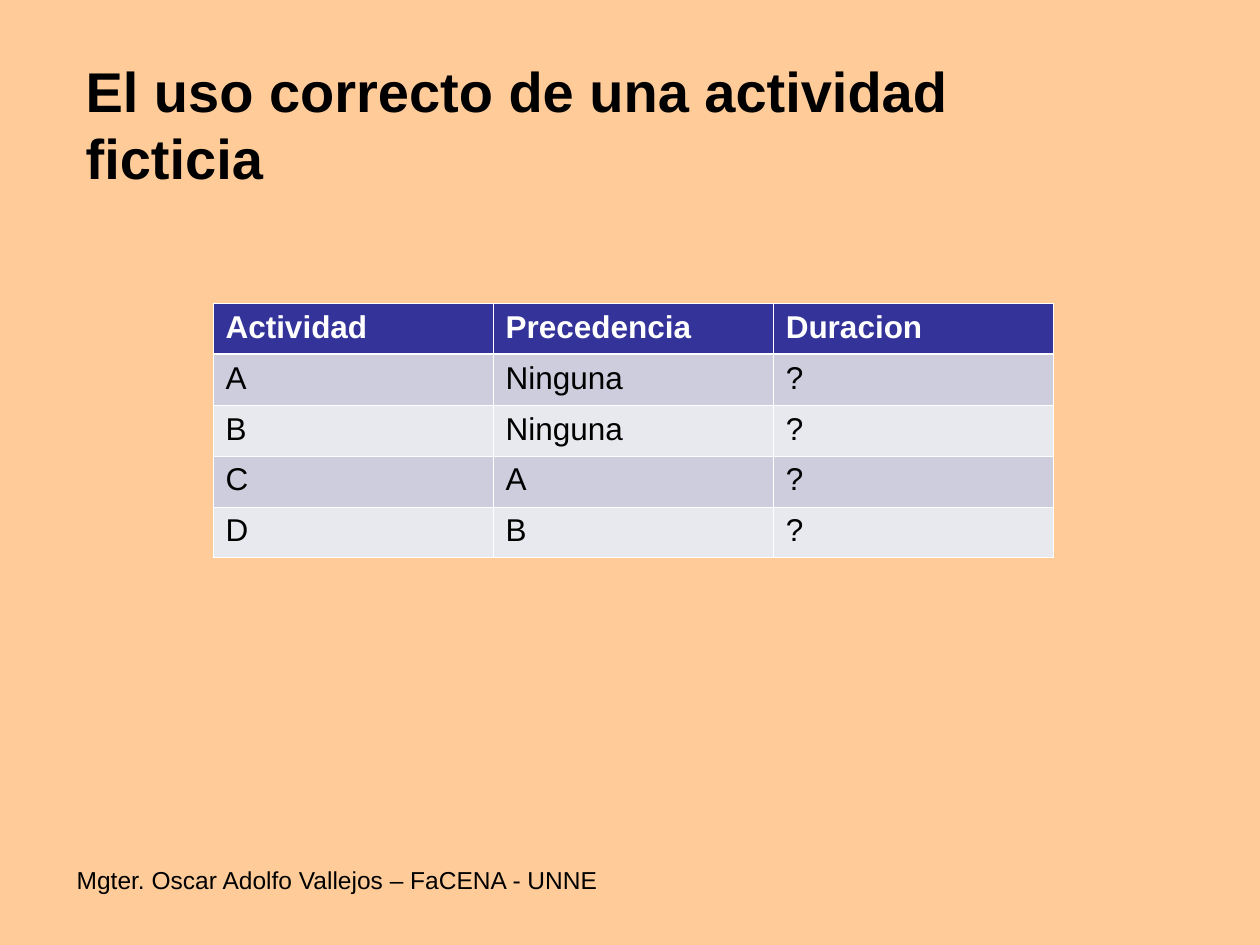
from dataclasses import dataclass

from lxml.etree import SubElement
from pptx import Presentation
from pptx.dml.color import RGBColor
from pptx.enum.text import MSO_ANCHOR, MSO_AUTO_SIZE as AutoSize, PP_ALIGN
from pptx.oxml.ns import qn
from pptx.util import Inches, Pt

SLIDE_W, SLIDE_H = Inches(10), Inches(7.5)


@dataclass(frozen=True)
class Theme:
    font: str = "Arial"
    background: str = "FFCC99"
    ink: str = "000000"
    light: str = "FFFFFF"
    header: str = "333399"
    bands: tuple = ("CDCDDE", "E8E8EF")
    title_size: int = 32
    table_size: int = 18
    credit_size: int = 14
    thin_rule: float = 0.45
    thick_rule: float = 1.47


THEME = Theme()

ACTIVITIES = [
    ("Actividad", "Precedencia", "Duracion"),
    ("A", "Ninguna", "?"),
    ("B", "Ninguna", "?"),
    ("C", "A", "?"),
    ("D", "B", "?"),
]


def share(left, top, width, height):
    """Turn percentages of the slide into a position and size."""
    return (round(SLIDE_W * left / 100), round(SLIDE_H * top / 100),
            round(SLIDE_W * width / 100), round(SLIDE_H * height / 100))


def write(frame, text, size, color, bold=False):
    frame.text = text
    frame.vertical_anchor = MSO_ANCHOR.TOP
    line = frame.paragraphs[0]
    line.alignment = PP_ALIGN.LEFT
    formats = {"name": THEME.font, "size": Pt(size), "bold": bold}
    for key, value in formats.items():
        setattr(line.font, key, value)
    line.font.color.rgb = RGBColor.from_string(color)


def add_title(slide, text, box):
    title = slide.shapes.title
    title.left, title.top, title.width, title.height = box
    write(title.text_frame, text, THEME.title_size, THEME.ink, bold=True)
    title.text_frame.word_wrap = False
    title.text_frame.auto_size = AutoSize.SHAPE_TO_FIT_TEXT


def add_credit(slide, text, box):
    credit = slide.shapes.add_textbox(*box).text_frame
    credit.word_wrap = True
    write(credit, text, THEME.credit_size, THEME.ink)


def rule_cell(cell, widths):
    """Draw the cell borders; widths are in points, by side."""
    properties = cell._tc.get_or_add_tcPr()
    for side, width in widths.items():
        rule = SubElement(properties, qn(f"a:ln{side}"), w=str(Pt(width)))
        fill = SubElement(rule, qn("a:solidFill"))
        SubElement(fill, qn("a:srgbClr"), val=THEME.light)


def add_activity_table(slide, rows, box):
    table = slide.shapes.add_table(len(rows), len(rows[0]), *box).table
    for r, row in enumerate(rows):
        is_header = r == 0
        fill = THEME.header if is_header else THEME.bands[(r - 1) % 2]
        ink = THEME.light if is_header else THEME.ink
        # The rule between header and body is the thick one
        widths = dict.fromkeys("LRTB", THEME.thin_rule)
        if r < 2:
            widths["B" if is_header else "T"] = THEME.thick_rule
        for c, text in enumerate(row):
            cell = table.cell(r, c)
            rule_cell(cell, widths)
            cell.fill.solid()
            cell.fill.fore_color.rgb = RGBColor.from_string(fill)
            write(cell.text_frame, text, THEME.table_size, ink, is_header)


def main():
    deck = Presentation()
    deck.slide_width, deck.slide_height = SLIDE_W, SLIDE_H
    slide = deck.slides.add_slide(deck.slide_layouts[5])  # title only
    slide.background.fill.solid()
    slide.background.fill.fore_color.rgb = RGBColor.from_string(THEME.background)

    # Credit line, title and activity table
    add_credit(slide, "Mgter. Oscar Adolfo Vallejos – FaCENA - UNNE",
               share(5.1, 90.93, 57.5, 6.93))
    add_title(slide, "El uso correcto de una actividad ficticia",
              share(5.8, 5.33, 85.8, 8.53))
    add_activity_table(slide, ACTIVITIES, share(16.9, 32.1, 66.7, 26.95))
    deck.save("out.pptx")


if __name__ == "__main__":
    main()
